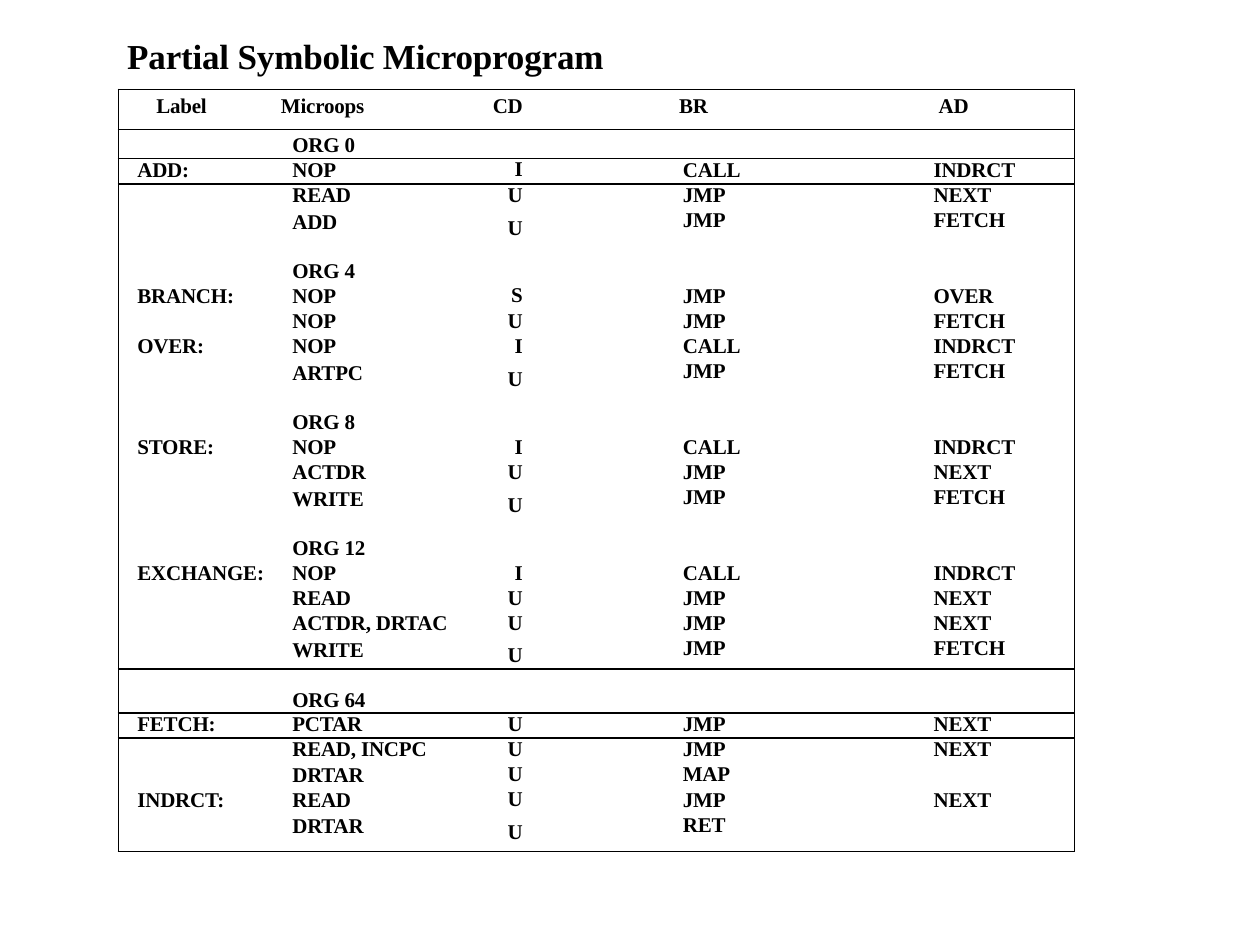
from lxml import etree
from pptx import Presentation
from pptx.dml.color import RGBColor
from pptx.enum.text import PP_ALIGN
from pptx.oxml.ns import qn
from pptx.util import Inches, Pt

LEFT, RIGHT = PP_ALIGN.LEFT, PP_ALIGN.RIGHT
FONT = "Times New Roman"
INK = "000000"
PLAIN = "{2D5ABB26-0587-4C30-8999-92F81FD0307C}"  # no style, no grid
LINE, LAST, ORG = 0.2, 0.31, 0.29  # row heights

COLS = [1.23, 1.57, 1.03, 1.88, 1.88]
HEAD = ["Label", "Microops", "CD", "BR", "AD"]
HEAD_IN = [0.3, 0.06, 0.62, 0.62, 0.8]
BODY_IN = [0.15, 0.15, 0.62, 0.65, 0.76]
ROWS = [
    (0.32, *HEAD),
    (0.23, "", "ORG 0", "", "", ""),
    (LINE, "ADD:", "NOP", "I", "CALL", "INDRCT"),
    (LINE, "", "READ", "U", "JMP", "NEXT"),
    (LAST, "", "ADD", "U", "JMP", "FETCH"),
    (ORG, "", "ORG 4", "", "", ""),
    (LINE, "BRANCH:", "NOP", "S", "JMP", "OVER"),
    (LINE, "", "NOP", "U", "JMP", "FETCH"),
    (LINE, "OVER:", "NOP", "I", "CALL", "INDRCT"),
    (LAST, "", "ARTPC", "U", "JMP", "FETCH"),
    (ORG, "", "ORG 8", "", "", ""),
    (LINE, "STORE:", "NOP", "I", "CALL", "INDRCT"),
    (LINE, "", "ACTDR", "U", "JMP", "NEXT"),
    (LAST, "", "WRITE", "U", "JMP", "FETCH"),
    (ORG, "", "ORG 12", "", "", ""),
    (LINE, "EXCHANGE:", "NOP", "I", "CALL", "INDRCT"),
    (LINE, "", "READ", "U", "JMP", "NEXT"),
    (LINE, "", "ACTDR, DRTAC", "U", "JMP", "NEXT"),
    (0.25, "", "WRITE", "U", "JMP", "FETCH"),
    (0.35, "", "ORG 64", "", "", ""),
    (LINE, "FETCH:", "PCTAR", "U", "JMP", "NEXT"),
    (LINE, "", "READ, INCPC", "U", "JMP", "NEXT"),
    (LINE, "", "DRTAR", "U", "MAP", ""),
    (LINE, "INDRCT:", "READ", "U", "JMP", "NEXT"),
    (0.3, "", "DRTAR", "U", "RET", ""),
]
RULED = {0, 1, 18, 19, 24}  # rows with a line below


def write(frame, text, size=12, align=LEFT, inset=0, pad=0, lead=None, track=-10):
    """Fill a frame or cell; inset is the indent on the aligned side, pad the top margin."""
    frame.margin_left = frame.margin_right = frame.margin_bottom = 0
    frame.margin_top = Inches(pad)
    body = getattr(frame, "text_frame", frame)
    para = body.paragraphs[0]
    if not text:
        etree.SubElement(para._p, qn("a:endParaRPr"), sz="1000")
        return
    para.alignment = align
    side = "marR" if align == RIGHT else "marL"
    para._p.get_or_add_pPr().set(side, str(Inches(inset)))
    if lead:
        para.line_spacing = Pt(lead)
    run = para.add_run()
    run.text = text
    font = run.font
    font.name, font.size, font.bold = FONT, Pt(size), True
    font.color.rgb = RGBColor.from_string(INK)
    run._r.get_or_add_rPr().set("spc", str(track))


def edge(cell, sides):
    """Draw 1 pt borders on the sides named, in the order L, R, T, B."""
    props = cell._tc.get_or_add_tcPr()
    for spot, side in enumerate(sides):
        line = etree.Element(qn("a:ln" + side), w=str(Pt(1)))
        fill = etree.SubElement(line, qn("a:solidFill"))
        etree.SubElement(fill, qn("a:srgbClr"), val=INK)
        props.insert(spot, line)


deck = Presentation()
deck.slide_width, deck.slide_height = Inches(10), Inches(7.5)
slide = deck.slides.add_slide(deck.slide_layouts[6])

title = slide.shapes.add_textbox(Inches(1), Inches(0.25), Inches(3.84), Inches(0.36))
title.text_frame.word_wrap = False
write(title.text_frame, "Partial Symbolic Microprogram", size=20, inset=0.01, pad=0.02)

high = sum(row[0] for row in ROWS)
frame = slide.shapes.add_table(
    len(ROWS), len(COLS), Inches(0.94), Inches(0.71), Inches(sum(COLS)), Inches(high))
table = frame.table
table._tbl.tblPr.find(qn("a:tableStyleId")).text = PLAIN
table.first_row = table.horz_banding = False
for col, wide in zip(table.columns, COLS):
    col.width = Inches(wide)

for r, (tall, *texts) in enumerate(ROWS):
    table.rows[r].height = Inches(tall)
    org = texts[1].startswith("ORG")
    for c, text in enumerate(texts):
        cell = table.cell(r, c)
        cell.fill.background()
        align = RIGHT if c == 2 else LEFT
        if r == 0:
            write(cell, text, align=align, inset=HEAD_IN[c], pad=0.04)
        else:
            pad, lead = 0, 13.2
            if org:
                pad, lead = tall - LINE, 13.7
            elif c == 1:
                lead = 13.4 if tall == LINE else 14.2
            elif c == 2:
                pad, lead = 0.06, {LINE: 8.8, 0.25: 12.8}.get(tall)
            write(cell, text, align=align, inset=BODY_IN[c], pad=pad,
                  lead=lead, track=0 if c == 2 else -10)
        edge(cell, ["L"] * (c == 0) + ["R"] * (c == len(COLS) - 1)
             + ["T"] * (r == 0 or r - 1 in RULED) + ["B"] * (r in RULED))

deck.save("out.pptx")
